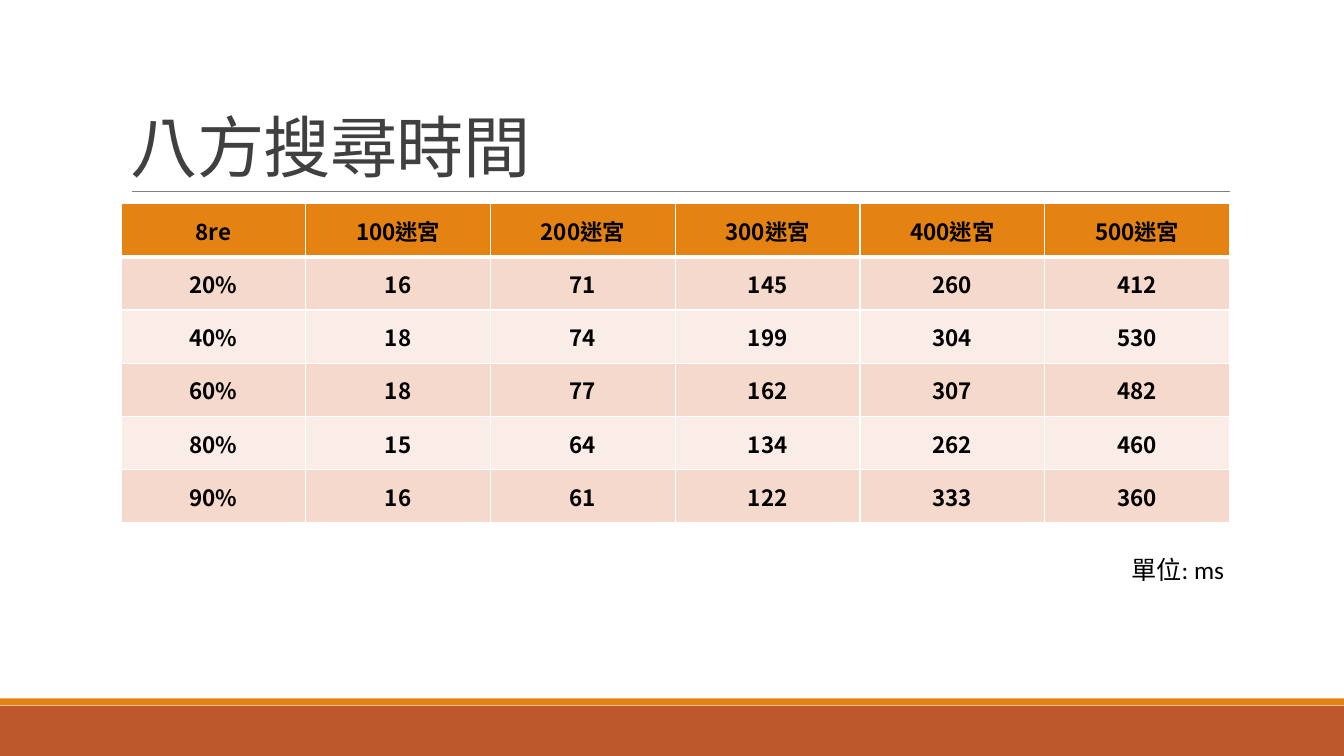
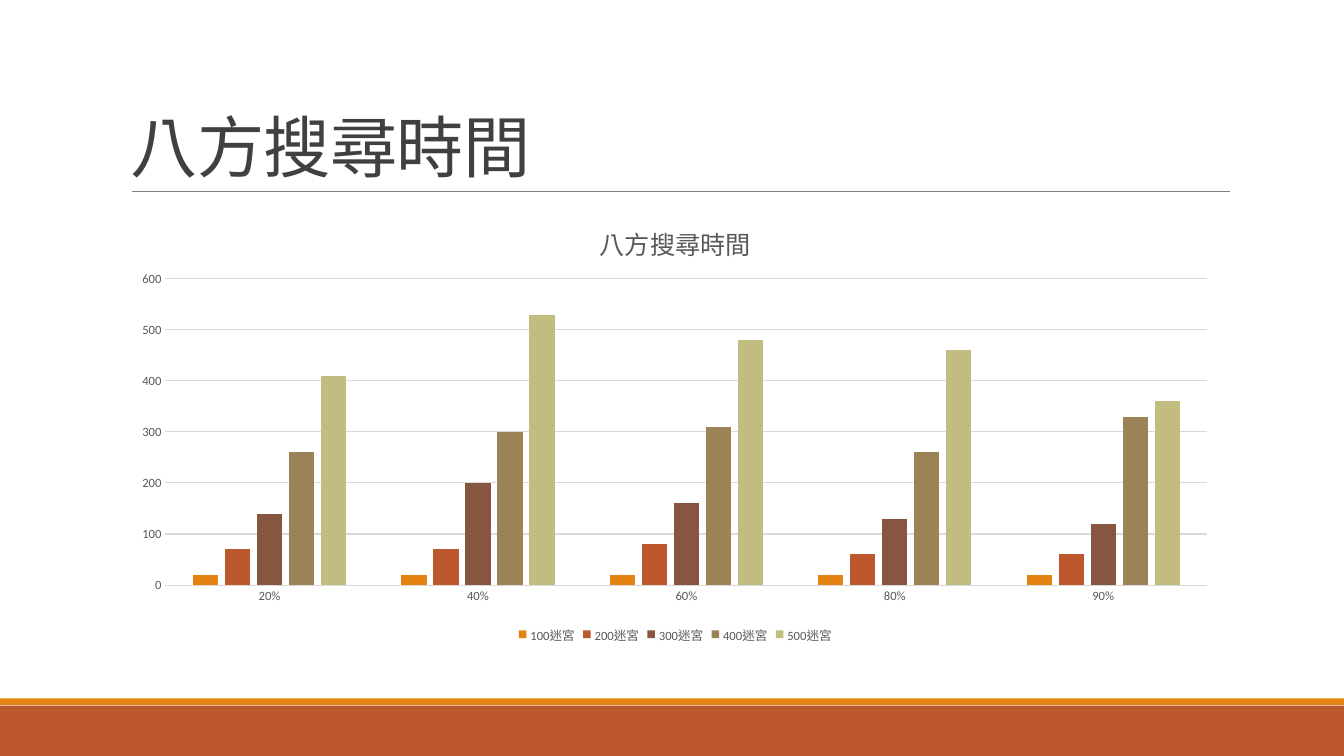
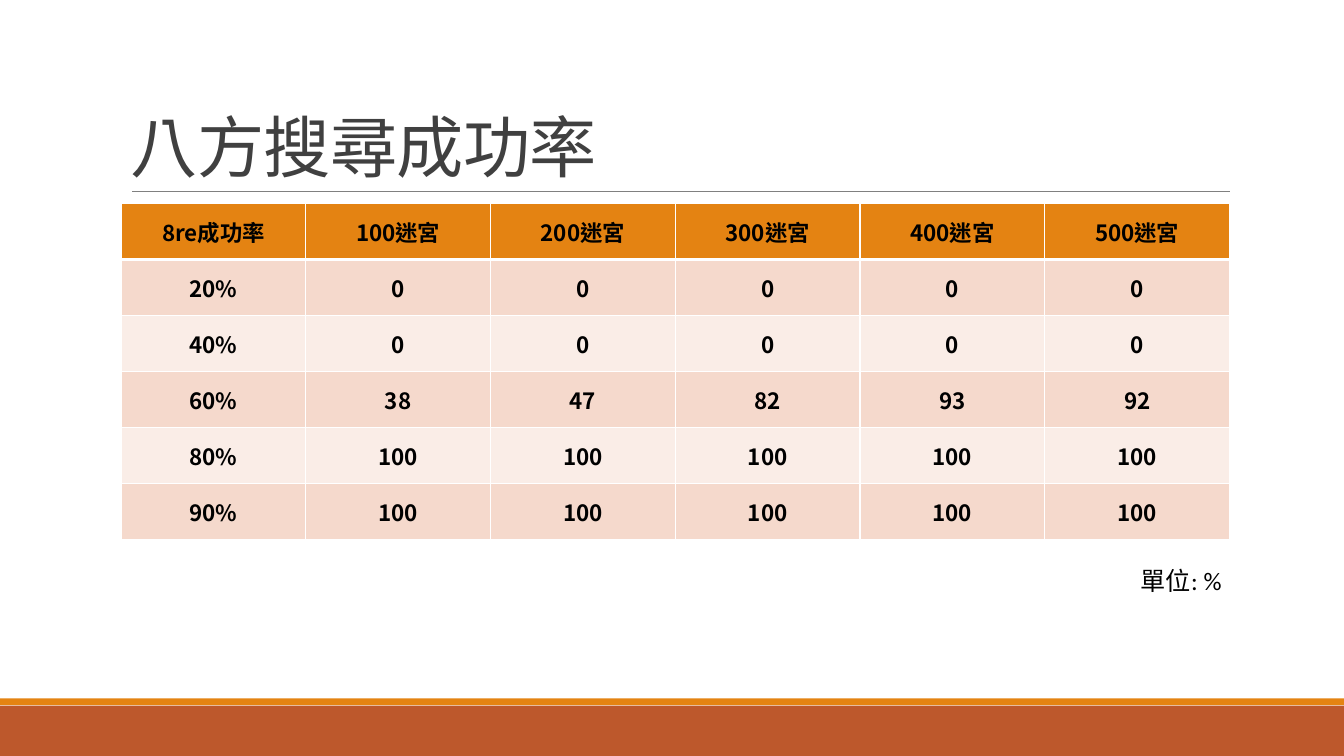
import lxml.etree
import pptx
import pptx.chart.data
import pptx.dml.color
import pptx.enum.chart
import pptx.enum.lang
import pptx.enum.shapes
import pptx.enum.text
import pptx.oxml
import pptx.oxml.ns
import pptx.util

Cm = pptx.util.Cm
Pt = pptx.util.Pt
qn = pptx.oxml.ns.qn

COLORS = {
    "orange": "E48312",
    "rust": "BD582C",
    "brown": "865640",
    "tan": "9B8357",
    "olive": "C2BC80",
    "rose": "F5D9CC",
    "pale": "FAEDE7",
    "title": "404040",
    "label": "595959",
    "rule": "808080",
    "grid": "D9D9D9",
    "black": "000000",
    "white": "FFFFFF",
}
LATIN = "Calibri"
CJK = "Noto Sans CJK TC"

MAZES = ["100迷宮", "200迷宮", "300迷宮", "400迷宮", "500迷宮"]
DENSITIES = [0.2, 0.4, 0.6, 0.8, 0.9]
TIMES = [
    [16, 71, 145, 260, 412],
    [18, 74, 199, 304, 530],
    [18, 77, 162, 307, 482],
    [15, 64, 134, 262, 460],
    [16, 61, 122, 333, 360],
]
SUCCESS = [[0] * 5, [0] * 5, [38, 47, 82, 93, 92], [100] * 5, [100] * 5]

SECTIONS = [
    {"title": "八方搜尋時間", "corner": "8re", "results": TIMES, "row": 1.34,
     "unit": "單位: ms", "unit_at": (28.26, 13.84)},
    {"title": "八方搜尋時間", "series": TIMES},
    {"title": "八方搜尋成功率", "corner": "8re成功率", "results": SUCCESS, "row": 1.41,
     "unit": "單位: %", "unit_at": (28.5, 14.12)},
]


def rgb(name):
    return pptx.dml.color.RGBColor.from_string(COLORS[name])


def set_font(font, size, color, latin=LATIN, bold=False):
    font.size = Pt(size)
    font.bold = bold
    font.name = latin
    font.color.rgb = rgb(color)
    font.language_id = pptx.enum.lang.MSO_LANGUAGE_ID.TRADITIONAL_CHINESE
    lxml.etree.SubElement(font._element, qn("a:ea"), typeface=CJK)


deck = pptx.Presentation()
deck.slide_width = Cm(33.87)
deck.slide_height = Cm(19.05)
left, top, width = Cm(3.05), Cm(5.13), Cm(27.94)

for section in SECTIONS:
    slide = deck.slides.add_slide(deck.slide_layouts[6])
    shapes = slide.shapes

    for color, band_top, band_height in [("rust", 17.78, 1.27), ("orange", 17.6, 0.17)]:
        band = shapes.add_shape(pptx.enum.shapes.MSO_SHAPE.RECTANGLE,
                                0, Cm(band_top), deck.slide_width, Cm(band_height))
        band.shadow.inherit = False
        band.fill.solid()
        band.fill.fore_color.rgb = rgb(color)
        band.line.fill.background()

    rule = shapes.add_connector(pptx.enum.shapes.MSO_CONNECTOR.STRAIGHT,
                                Cm(3.33), Cm(4.83), Cm(31), Cm(4.83))
    rule.line.color.rgb = rgb("rule")
    rule.line.width = Pt(0.5)
    lxml.etree.SubElement(rule._element.spPr, qn("a:effectLst"))

    heading = shapes.add_textbox(left, Cm(0.79), width, Cm(4.04)).text_frame
    heading.word_wrap = True
    heading.vertical_anchor = pptx.enum.text.MSO_ANCHOR.BOTTOM
    heading.text = section["title"]
    heading_line = heading.paragraphs[0]
    heading_line.line_spacing = 0.85
    set_font(heading_line.font, 48, "title")
    heading_line.runs[0]._r.get_or_add_rPr().set("spc", "-50")

    if "results" in section:
        grid = [[section["corner"]] + MAZES]
        grid += [[f"{density:.0%}"] + row for density, row in zip(DENSITIES, section["results"])]
        table = shapes.add_table(len(grid), len(grid[0]), left, top, width,
                                 Cm(section["row"] * len(grid))).table
        table.first_row = False
        table.horz_banding = False
        for r, row in enumerate(grid):
            table.rows[r].height = Cm(section["row"])
            for c, value in enumerate(row):
                cell = table.cell(r, c)
                cell.text = str(value)
                cell.vertical_anchor = pptx.enum.text.MSO_ANCHOR.MIDDLE
                cell.margin_left = cell.margin_right = cell.margin_top = Cm(0.02)
                cell.margin_bottom = 0
                label = cell.text_frame.paragraphs[0]
                label.alignment = pptx.enum.text.PP_ALIGN.CENTER
                set_font(label.font, 16, "black", CJK, True)
                cell.fill.solid()
                cell.fill.fore_color.rgb = rgb("orange" if r == 0 else "rose" if r % 2 else "pale")
                borders = {"L": 1, "R": 1, "T": 3 if r == 1 else 1, "B": 3 if r == 0 else 1}
                for i, (side, points) in enumerate(borders.items()):
                    border = pptx.oxml.parse_xml(
                        f'<a:ln{side} {pptx.oxml.ns.nsdecls("a")} w="{Pt(points)}"><a:solidFill>'
                        f'<a:srgbClr val="{COLORS["white"]}"/></a:solidFill></a:ln{side}>')
                    cell._tc.get_or_add_tcPr().insert(i, border)

        unit = shapes.add_textbox(*map(Cm, section["unit_at"]), Cm(4.14), Cm(1.02)).text_frame
        unit.word_wrap = True
        unit.text = section["unit"]
        set_font(unit.paragraphs[0].font, 18, "black")
    else:
        data = pptx.chart.data.CategoryChartData(number_format="General")
        data.categories = DENSITIES
        data.categories.number_format = "0%"
        for maze, times in zip(MAZES, zip(*section["series"])):
            data.add_series(maze, [round(time, -1) for time in times])
        chart = shapes.add_chart(pptx.enum.chart.XL_CHART_TYPE.COLUMN_CLUSTERED,
                                 left, top, width, Cm(11.18), data).chart
        set_font(chart.font, 10, "black")

        chart.has_title = True
        chart.chart_title.include_in_layout = False
        chart.chart_title.text_frame.text = section["title"]
        set_font(chart.chart_title.text_frame.paragraphs[0].font, 18, "label")

        chart.has_legend = True
        chart.legend.position = pptx.enum.chart.XL_LEGEND_POSITION.BOTTOM
        chart.legend.include_in_layout = False
        set_font(chart.legend.font, 9, "label")

        for axis in (chart.category_axis, chart.value_axis):
            axis.major_tick_mark = pptx.enum.chart.XL_TICK_MARK.NONE
            axis.minor_tick_mark = pptx.enum.chart.XL_TICK_MARK.NONE
            set_font(axis.tick_labels.font, 9, "label")
        chart.category_axis.tick_labels.number_format = "0%"
        chart.category_axis.tick_labels.number_format_is_linked = True
        chart.value_axis.format.line.fill.background()
        chart.value_axis.has_major_gridlines = True
        for line in (chart.category_axis.format.line, chart.value_axis.major_gridlines.format.line):
            line.color.rgb = rgb("grid")
            line.width = Pt(0.75)

        plot = chart.plots[0]
        plot.vary_by_categories = False
        plot.gap_width = 219
        plot.overlap = -27
        for series, color in zip(plot.series, ["orange", "rust", "brown", "tan", "olive"]):
            series.format.fill.solid()
            series.format.fill.fore_color.rgb = rgb(color)

        plot_area = chart._chartSpace.chart.plotArea
        for automatic in plot_area.findall(qn("c:layout")):
            plot_area.remove(automatic)
        plot_area.insert(0, pptx.oxml.parse_xml(
            f'<c:layout {pptx.oxml.ns.nsdecls("c")}><c:manualLayout><c:layoutTarget val="inner"/>'
            '<c:xMode val="edge"/><c:yMode val="edge"/><c:x val="0.04"/><c:y val="0.17"/>'
            '<c:w val="0.94"/><c:h val="0.69"/></c:manualLayout></c:layout>'))

deck.save("out.pptx")
